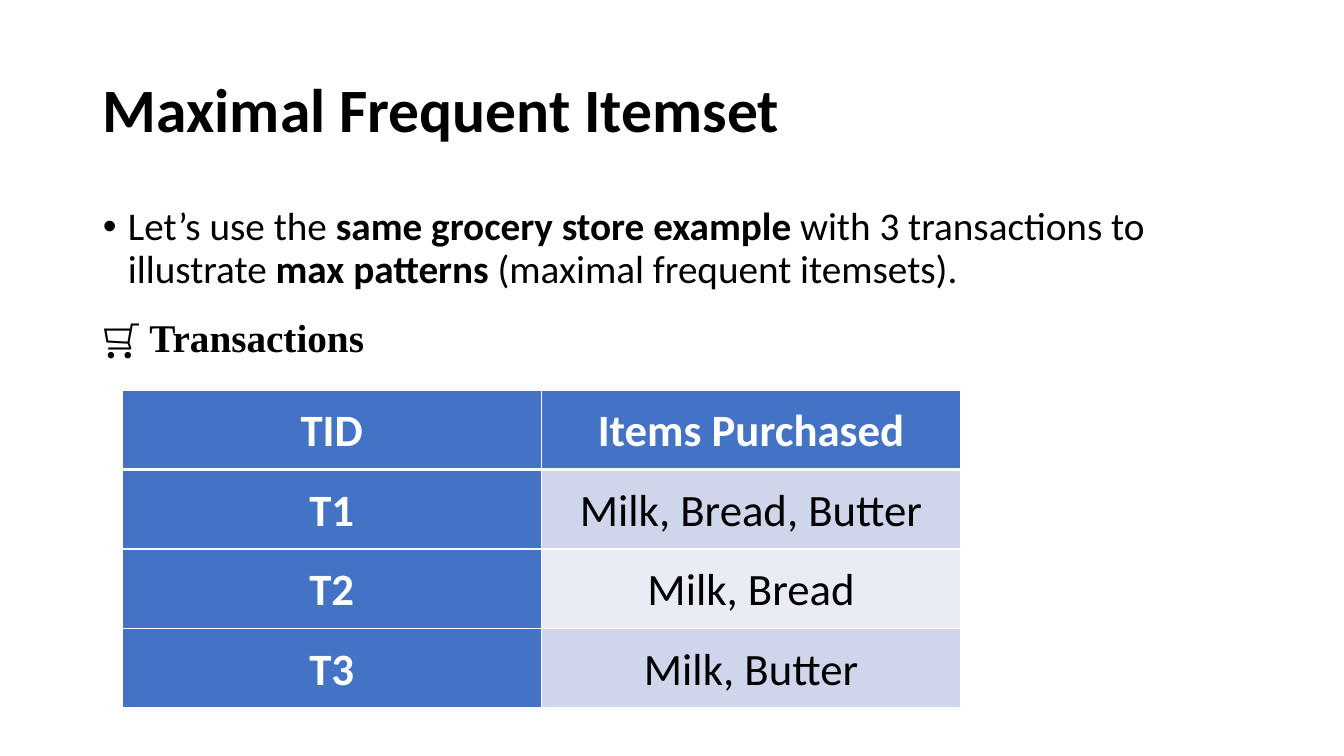
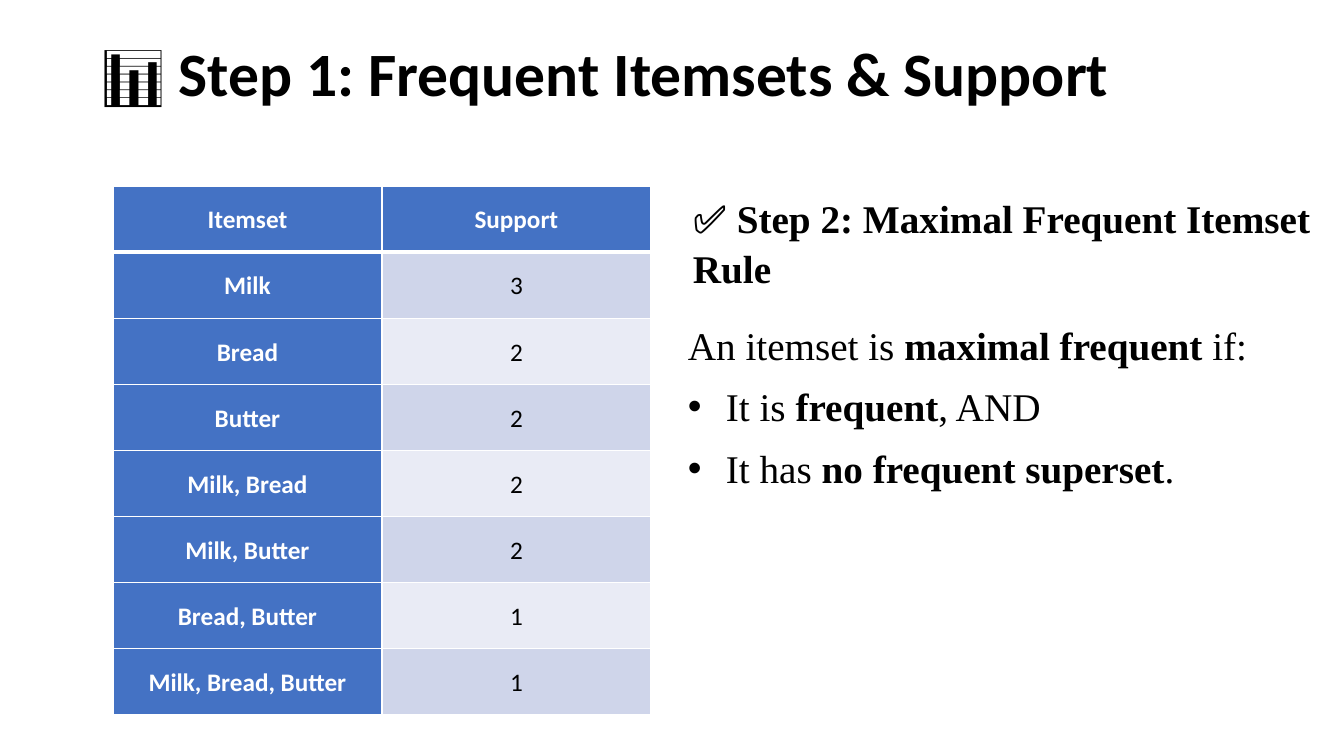
from lxml import etree
from pptx import Presentation
from pptx.dml.color import RGBColor
from pptx.enum.text import MSO_ANCHOR, PP_ALIGN
from pptx.oxml.ns import qn
from pptx.util import Emu, Pt

TOP, MIDDLE = MSO_ANCHOR.TOP, MSO_ANCHOR.MIDDLE
CENTER = PP_ALIGN.CENTER

PX = 914400 / 100.8
SLIDE_W, SLIDE_H = 1344, 756
LEFT = 93
SANS, SERIF, SYMBOL = "Calibri", "Times New Roman", "Roboto"
COLORS = {"text": "000000", "white": "FFFFFF", "head": "4472C4",
          "odd": "CFD5EA", "even": "E9EBF5"}
TITLE_SIZE, BODY_SIZE = 44, 28
RULE, HEAD_RULE = 1, 3
TABLE_LINE, TABLE_AFTER = 1.07, 8

# A paragraph is (hanging indent in px or 0, runs); a run is (text, bold, font).
INTRO = [(25, [
    ("Let’s use the ", False, SANS),
    ("same grocery store example", True, SANS),
    (" with 3 transactions to illustrate ", False, SANS),
    ("max patterns", True, SANS),
    (" (maximal frequent itemsets).", False, SANS),
])]
TRANSACTIONS_HEADING = [(0, [("🛒", True, SANS), (" Transactions", True, SERIF)])]
TRANSACTIONS = [
    ("TID", "Items Purchased"),
    ("T1", "Milk, Bread, Butter"),
    ("T2", "Milk, Bread"),
    ("T3", "Milk, Butter"),
]
SUPPORTS = [
    ("Itemset", "Support"),
    ("Milk", "3"),
    ("Bread", "2"),
    ("Butter", "2"),
    ("Milk, Bread", "2"),
    ("Milk, Butter", "2"),
    ("Bread, Butter", "1"),
    ("Milk, Bread, Butter", "1"),
]
RULE_HEADING = [(0, [("✅", True, SYMBOL),
                     (" Step 2: Maximal Frequent Itemset Rule", True, SERIF)])]
RULE_TEXT = [
    (0, [("An itemset is ", False, SERIF), ("maximal frequent", True, SERIF),
         (" if:", False, SERIF)]),
    (38, [("It is ", False, SERIF), ("frequent", True, SERIF),
          (", AND", False, SERIF)]),
    (38, [("It has ", False, SERIF), ("no frequent superset", True, SERIF),
          (".", False, SERIF)]),
]


def px(n):
    return Emu(round(n * PX))


def rgb(name):
    return RGBColor.from_string(COLORS[name])


def add_run(p, text, size, bold, font=SANS, color="text"):
    r = p.add_run()
    r.text = text
    r.font.name, r.font.size, r.font.bold = font, Pt(size), bold
    r.font.color.rgb = rgb(color)


def add_bullet(p, indent):
    pPr = p._p.get_or_add_pPr()
    pPr.set("marL", str(px(indent)))
    pPr.set("indent", str(-px(indent)))
    etree.SubElement(pPr, qn("a:buFont")).set("typeface", "Arial")
    etree.SubElement(pPr, qn("a:buChar")).set("char", "•")


def add_text(s, box, paragraphs, size=BODY_SIZE, anchor=TOP, line=None, after=0):
    tf = s.shapes.add_textbox(*map(px, box)).text_frame
    tf.word_wrap = True
    tf.vertical_anchor = anchor
    for i, (indent, runs) in enumerate(paragraphs):
        p = tf.add_paragraph() if i else tf.paragraphs[0]
        if indent:
            add_bullet(p, indent)
        p.line_spacing, p.space_after = line, Pt(after)
        for text, bold, font in runs:
            add_run(p, text, size, bold, font)


def add_slide(prs, title, title_top):
    s = prs.slides.add_slide(prs.slide_layouts[6])
    add_text(s, (LEFT, title_top, 1159, 146), [(0, [(title, True, SANS)])],
             TITLE_SIZE, MIDDLE, 0.9)
    return s


def set_borders(cell, row):
    """Draw white rules, with a heavier one under the header row."""
    widths = {"L": RULE, "R": RULE,
              "T": HEAD_RULE if row == 1 else RULE,
              "B": HEAD_RULE if row == 0 else RULE}
    tcPr = cell._tc.get_or_add_tcPr()
    for side, width in widths.items():
        ln = etree.SubElement(tcPr, qn(f"a:ln{side}"), w=str(Pt(width)))
        fill = etree.SubElement(ln, qn("a:solidFill"))
        etree.SubElement(fill, qn("a:srgbClr"), val=COLORS["white"])


def add_table(s, box, rows, size):
    table = s.shapes.add_table(len(rows), len(rows[0]), *map(px, box)).table
    table.first_col = True
    for i, values in enumerate(rows):
        table.rows[i].height = px(box[3] / len(rows))
        for j, value in enumerate(values):
            head = i == 0 or j == 0
            cell = table.cell(i, j)
            set_borders(cell, i)
            cell.fill.solid()
            cell.fill.fore_color.rgb = rgb("head" if head else "odd" if i % 2 else "even")
            cell.vertical_anchor = MIDDLE
            cell.margin_left = cell.margin_right = px(1)
            cell.margin_top = cell.margin_bottom = px(1)
            p = cell.text_frame.paragraphs[0]
            p.alignment = CENTER
            p.line_spacing, p.space_after = TABLE_LINE, Pt(TABLE_AFTER)
            add_run(p, value, size, head, color="white" if head else "text")


def main():
    prs = Presentation()
    prs.slide_width, prs.slide_height = px(SLIDE_W), px(SLIDE_H)

    s = add_slide(prs, "Maximal Frequent Itemset", 40)
    add_text(s, (LEFT, 202, 1159, 96), INTRO, line=0.9)
    add_table(s, (122, 390, 839, 318), TRANSACTIONS, 32)
    add_text(s, (LEFT, 308, 699, 57), TRANSACTIONS_HEADING, anchor=MIDDLE)

    s = add_slide(prs, "📊 Step 1: Frequent Itemsets & Support", 4)
    add_table(s, (113, 186, 538, 529), SUPPORTS, 18)
    for box, paragraphs in (((683, 186, 660, 109), RULE_HEADING),
                            ((678, 313, 660, 182), RULE_TEXT)):
        add_text(s, box, paragraphs, line=TABLE_LINE, after=TABLE_AFTER)

    prs.save("out.pptx")


if __name__ == "__main__":
    main()
